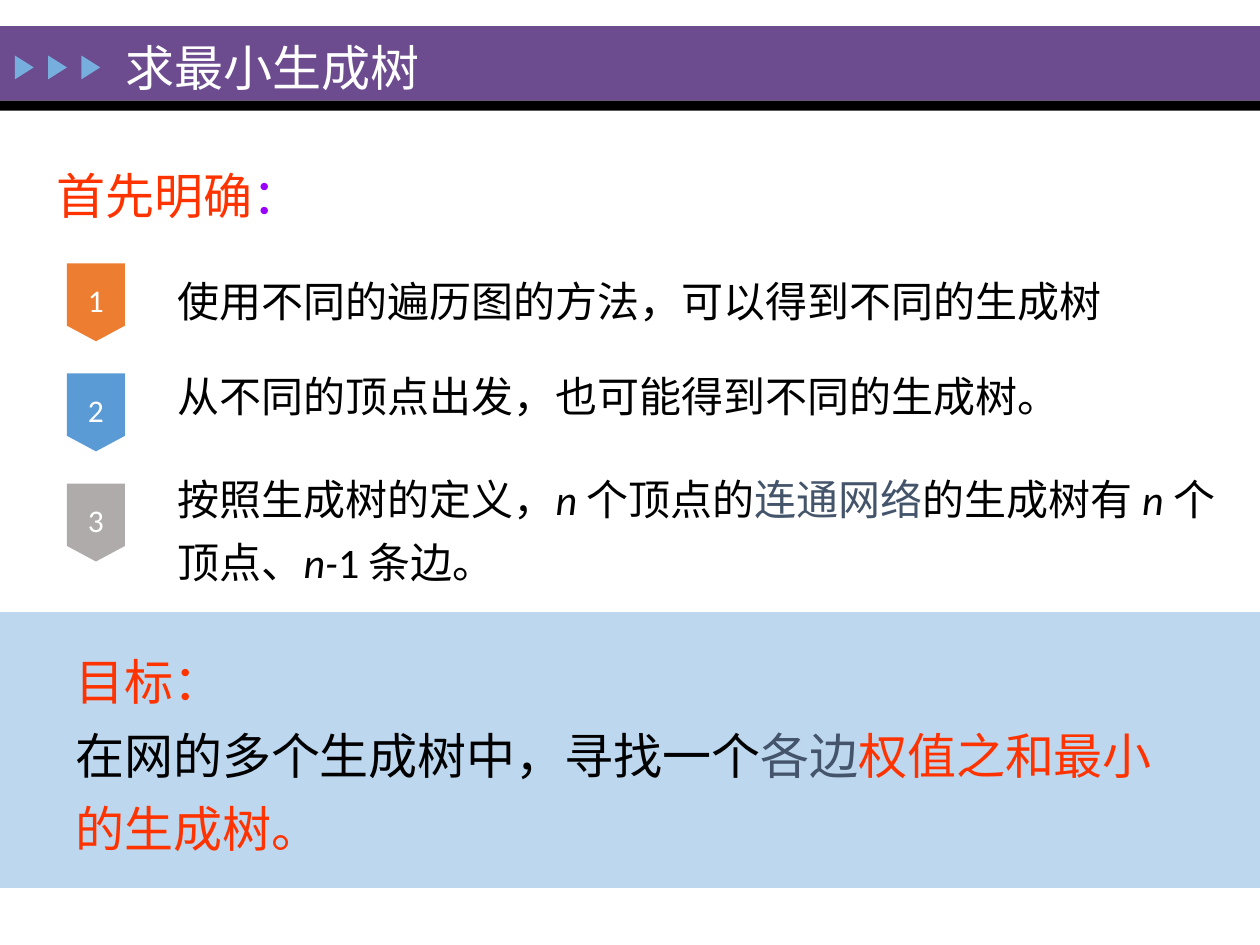
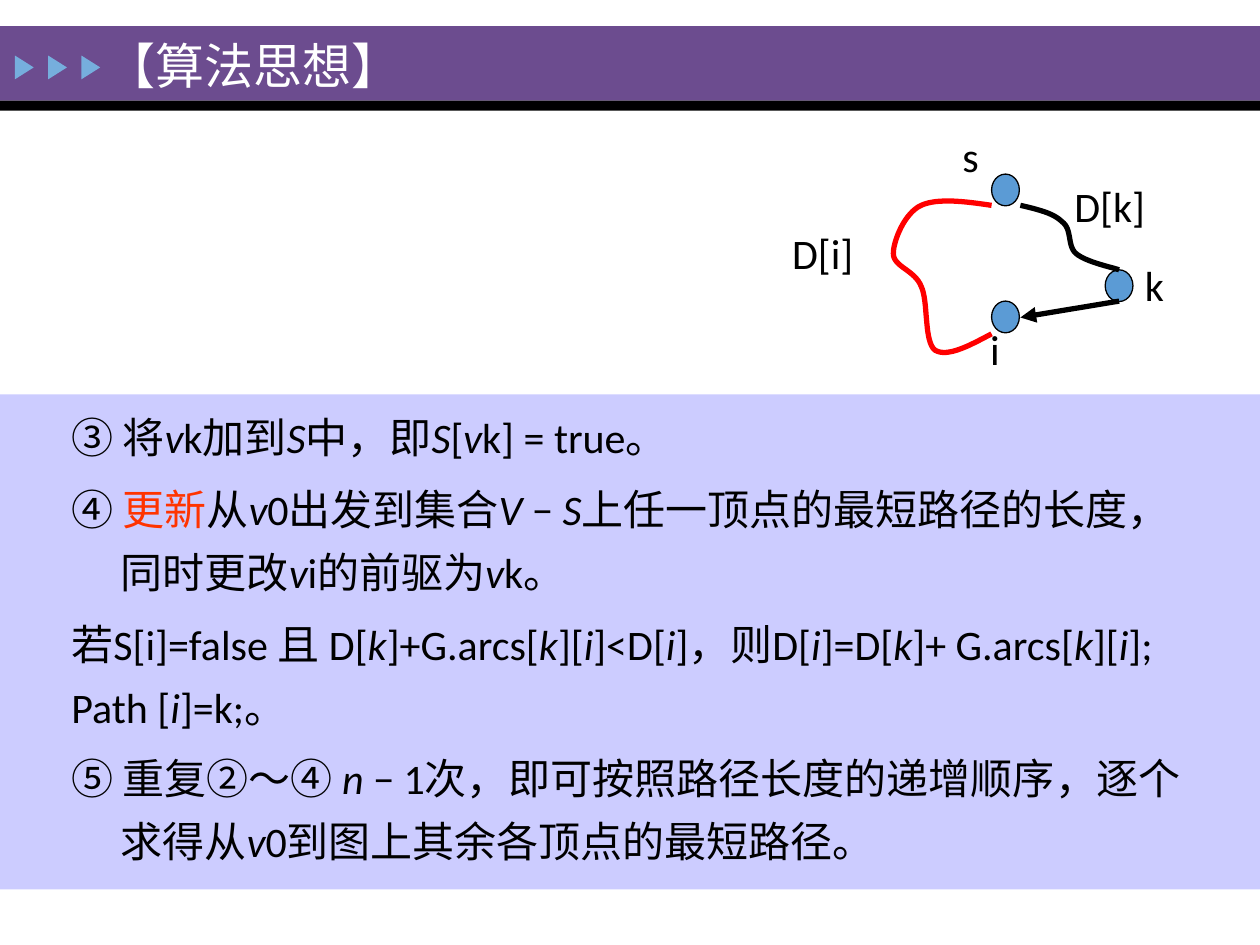
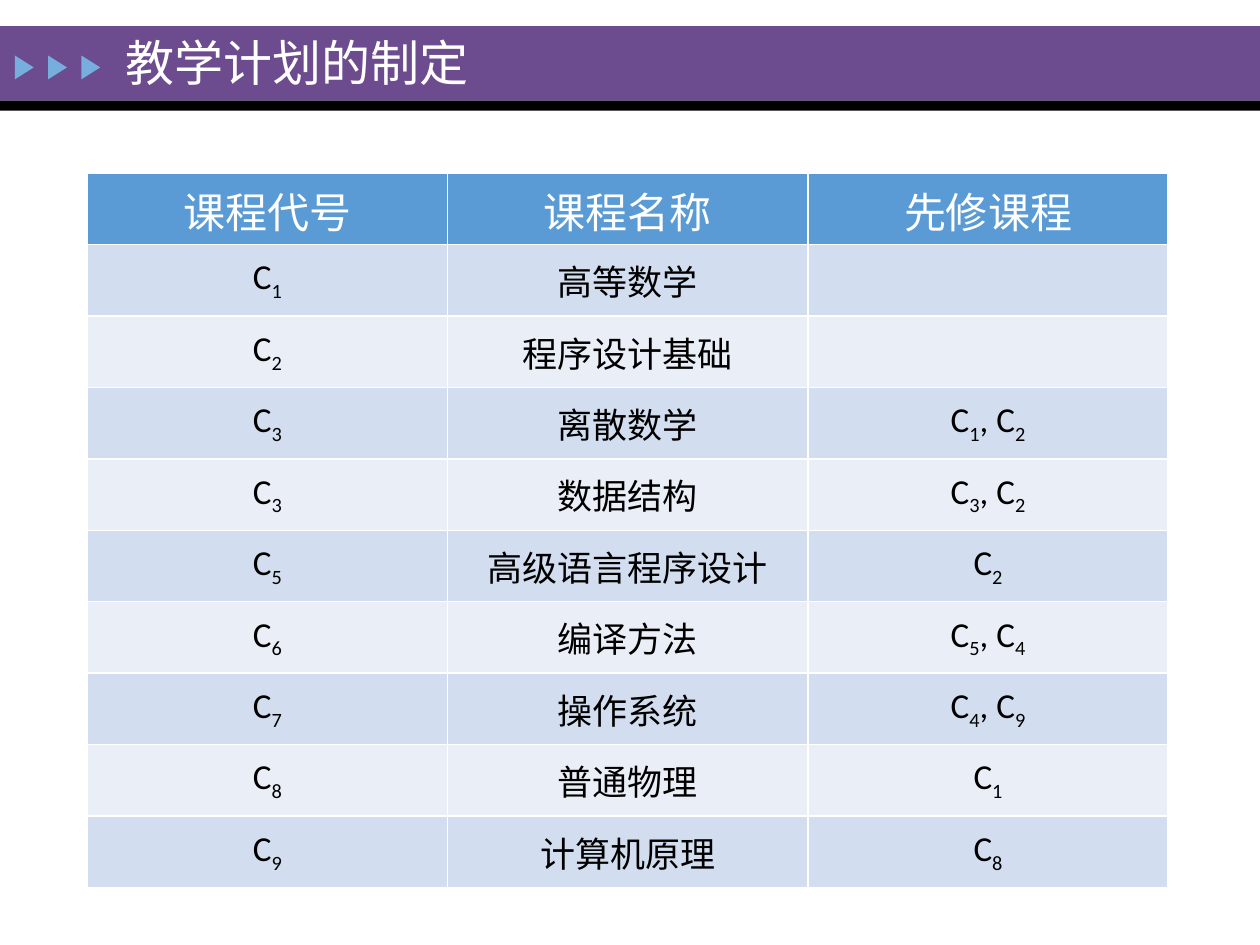
from lxml import etree
from pptx import Presentation
from pptx.dml.color import RGBColor
from pptx.enum.shapes import MSO_CONNECTOR, MSO_SHAPE
from pptx.enum.text import MSO_ANCHOR, PP_ALIGN
from pptx.oxml.ns import qn
from pptx.util import Cm, Pt

RECTANGLE = MSO_SHAPE.RECTANGLE
TRIANGLE = MSO_SHAPE.ISOSCELES_TRIANGLE
OVAL = MSO_SHAPE.OVAL
BADGE = MSO_SHAPE.FLOWCHART_OFFPAGE_CONNECTOR
STRAIGHT = MSO_CONNECTOR.STRAIGHT
MIDDLE = MSO_ANCHOR.MIDDLE
CENTER = PP_ALIGN.CENTER

FONT = "Calibri"
WHITE = RGBColor(0xFF, 0xFF, 0xFF)
BLACK = RGBColor(0x00, 0x00, 0x00)
PURPLE = RGBColor(0x6C, 0x4C, 0x8F)
MARKER_BLUE = RGBColor(0x76, 0xAE, 0xDD)
BLUE = RGBColor(0x5B, 0x9B, 0xD5)
ORANGE = RGBColor(0xED, 0x7D, 0x31)
GREY = RGBColor(0xAF, 0xAB, 0xAB)
GOAL_BLUE = RGBColor(0xBD, 0xD7, 0xEE)
LAVENDER = RGBColor(0xCC, 0xCC, 0xFF)
VERMILION = RGBColor(0xFF, 0x33, 0x00)
VIOLET = RGBColor(0x99, 0x00, 0xFF)
SLATE = RGBColor(0x44, 0x54, 0x6A)
RED = RGBColor(0xFF, 0x00, 0x00)
ROW_DARK = RGBColor(0xD2, 0xDE, 0xEF)
ROW_LIGHT = RGBColor(0xEA, 0xEF, 0xF7)

SLIDE_WIDTH, SLIDE_HEIGHT = 25.4, 19.05

COURSES = [
    ("C_1", "高等数学", ""),
    ("C_2", "程序设计基础", ""),
    ("C_3", "离散数学", "C_1, C_2"),
    ("C_3", "数据结构", "C_3, C_2"),
    ("C_5", "高级语言程序设计", "C_2"),
    ("C_6", "编译方法", "C_5, C_4"),
    ("C_7", "操作系统", "C_4, C_9"),
    ("C_8", "普通物理", "C_1"),
    ("C_9", "计算机原理", "C_8"),
]


def add_block(slide, kind, box, fill, outline=None):
    block = slide.shapes.add_shape(kind, *map(Cm, box))
    block.shadow.inherit = False
    block.fill.solid()
    block.fill.fore_color.rgb = fill
    if outline is None:
        block.line.fill.background()
    else:
        block.line.color.rgb = outline
        block.line.width = Pt(0.75)
    return block


def style_paragraph(paragraph, size, color=BLACK):
    paragraph.font.name = FONT
    paragraph.font.size = Pt(size)
    paragraph.font.color.rgb = color


def write_segments(paragraph, segments):
    """Add (text, colour) segments; asterisks enclose italic text."""
    for text, color in segments:
        for index, piece in enumerate(text.split("*")):
            if piece:
                run = paragraph.add_run()
                run.text = piece
                run.font.color.rgb = color
                run.font.italic = index % 2 == 1


def add_text(slide, box, paragraphs, size, line_spacing=None, gaps=None, hanging=()):
    """Add a text box; gaps are points before each paragraph, hanging their indices."""
    text_box = slide.shapes.add_textbox(*map(Cm, box))
    frame = text_box.text_frame
    frame.word_wrap = True
    for index, segments in enumerate(paragraphs):
        paragraph = frame.add_paragraph() if index else frame.paragraphs[0]
        style_paragraph(paragraph, size)
        paragraph.line_spacing = line_spacing
        if gaps:
            paragraph.space_before = Pt(gaps[index])
        if index in hanging:
            properties = paragraph.font._element.getparent()
            properties.set("marL", str(Cm(1)))
            properties.set("indent", str(-Cm(1)))
        write_segments(paragraph, segments)
    return frame


def add_header(slide, title, title_box):
    add_block(slide, RECTANGLE, (0, 0.53, SLIDE_WIDTH, 1.5), PURPLE)
    add_block(slide, RECTANGLE, (0, 2.03, SLIDE_WIDTH, 0.2), BLACK)
    for index in range(3):
        marker = add_block(slide, TRIANGLE, (0.25 + 0.67 * index, 1.17, 0.48, 0.38), MARKER_BLUE)
        marker.rotation = 90
    frame = add_text(slide, title_box, [[(title, WHITE)]], 28)
    frame.vertical_anchor = MIDDLE


def add_premises(slide, box):
    """Numbered badges on the left with their statements on the right."""
    left, top, width, height = box
    for index, color in enumerate((ORANGE, BLUE, GREY)):
        badge = add_block(slide, BADGE, (left, top + 0.13 + 2.22 * index, 1.17, 1.57), color)
        frame = badge.text_frame
        frame.vertical_anchor = MIDDLE
        frame.margin_left = frame.margin_right = frame.margin_bottom = 0
        frame.margin_top = Cm(0.2)
        number = frame.paragraphs[0]
        number.text = str(index + 1)
        number.alignment = CENTER
        style_paragraph(number, 18, WHITE)
    statements = [
        [("使用不同的遍历图的方法，可以得到不同的生成树", BLACK)],
        [("从不同的顶点出发，也可能得到不同的生成树。", BLACK)],
        [("按照生成树的定义，*n *个顶点的", BLACK), ("连通网络", SLATE),
         ("的生成树有 *n *个顶点、*n-*1 条边。", BLACK)],
    ]
    add_text(slide, (left + 1.98, top, width - 1.98, height), statements, 24, 1.25, (3, 18, 23))


def add_goal(slide, box):
    left, top, width, height = box
    add_block(slide, RECTANGLE, box, GOAL_BLUE)
    goal = [
        [("目标：", VERMILION)],
        [("在网的多个生成树中，寻找一个", BLACK), ("各边", SLATE),
         ("权值之和最小的生成树。", VERMILION)],
    ]
    add_text(slide, (left + 1.27, top + 0.38, width - 2.54, height - 0.8), goal, 28, 1.25)


def sample_curve(points, steps=16):
    """Return points along joined cubic Bézier segments."""
    sampled = [points[0]]
    for start in range(0, len(points) - 1, 3):
        segment = points[start:start + 4]
        for step in range(1, steps + 1):
            t = step / steps
            weights = ((1 - t) ** 3, 3 * t * (1 - t) ** 2, 3 * t * t * (1 - t), t ** 3)
            sampled.append(tuple(sum(w * p[axis] for w, p in zip(weights, segment))
                                 for axis in (0, 1)))
    return sampled


def add_path_diagram(slide, box):
    """Compare the direct route D[i] with the route through k."""
    left, top = box[:2]

    def locate(point):
        return Cm(left + point[0]), Cm(top + point[1])

    for x, y in ((4.27, 1), (4.27, 3.56), (6.56, 2.93)):
        add_block(slide, OVAL, (left + x, top + y, 0.56, 0.64), BLUE, BLACK)

    route_to_k = [(4.85, 1.63), (5.18, 1.71), (5.51, 1.78), (5.69, 1.96), (5.9, 2.11),
                  (5.79, 2.44), (5.97, 2.6), (6.17, 2.77), (6.66, 2.87), (6.84, 2.93)]
    route_to_i = [(4.27, 1.63), (3.74, 1.55), (3.18, 1.48), (2.85, 1.63), (2.52, 1.78),
                  (2.29, 2.34), (2.29, 2.6), (2.29, 2.87), (2.72, 2.93), (2.85, 3.26),
                  (3, 3.56), (2.9, 4.37), (3.13, 4.55), (3.38, 4.7), (3.84, 4.45), (4.27, 4.22)]
    for route, color in ((route_to_k, BLACK), (route_to_i, RED)):
        start, *rest = map(locate, sample_curve(route))
        builder = slide.shapes.build_freeform(*start)
        builder.add_line_segments(rest, close=False)
        curve = builder.convert_to_shape()
        curve.shadow.inherit = False
        curve.fill.background()
        curve.line.color.rgb = color
        curve.line.width = Pt(3)

    edge = slide.shapes.add_connector(STRAIGHT, *locate((6.84, 3.56)), *locate((4.85, 3.89)))
    edge.line.color.rgb = BLACK
    edge.line.width = Pt(3)
    etree.SubElement(edge.line._get_or_add_ln(), qn("a:tailEnd"), type="triangle")
    etree.SubElement(edge._element.spPr, qn("a:effectLst"))

    for label, x, y, width in (("s", 3.43, 0, 0.86), ("i", 3.99, 3.89, 0.86),
                               ("k", 7.11, 2.59, 1.14), ("D[i]", 0, 1.96, 3.12),
                               ("D[k]", 5.69, 1, 3.4)):
        add_text(slide, (left + x, top + y, width, 1.27), [[(label, BLACK)]], 24)


def add_steps(slide, box):
    left, top, width, height = box
    add_block(slide, RECTANGLE, box, LAVENDER)
    steps = [
        [("③ 将*v*k加到*S*中，即*S*[*v*k] = true。", BLACK)],
        [("④ ", BLACK), ("更新", VERMILION),
         ("从*v*0出发到集合*V *−* S*上任一顶点的最短路径的长度，"
          "同时更改*v*i的前驱为*v*k。", BLACK)],
        [("若S[i]=false 且 D[*k*]+G.arcs[*k*][*i*]<D[*i*]，则D[*i*]=D[*k*]+ "
          "G.arcs[*k*][*i*]; Path [*i*]=k;。", BLACK)],
        [("⑤ 重复②～④ *n *− 1次，即可按照路径长度的递增顺序，逐个求得从"
          "*v*0到图上其余各顶点的最短路径。", BLACK)],
    ]
    add_text(slide, (left + 1.19, top - 0.03, width - 1.95, height - 0.1), steps, 24, 1.25,
             (5, 5, 5, 5), hanging=(0, 1, 3))


def write_cell(cell, text, size, color, fill):
    """Write centred text; the character after an underscore is a subscript."""
    cell.fill.solid()
    cell.fill.fore_color.rgb = fill
    cell.vertical_anchor = MIDDLE
    paragraph = cell.text_frame.paragraphs[0]
    paragraph.alignment = CENTER
    style_paragraph(paragraph, size, color)
    paragraph.font.bold = False
    plain, *subscripted = text.split("_")
    if plain:
        paragraph.add_run().text = plain
    for piece in subscripted:
        subscript = paragraph.add_run()
        subscript.text = piece[0]
        subscript.font._element.set("baseline", "-25000")
        if piece[1:]:
            paragraph.add_run().text = piece[1:]


def add_course_table(slide, box):
    headings = ("课程代号", "课程名称", "先修课程")
    table = slide.shapes.add_table(len(COURSES) + 1, len(headings), *map(Cm, box)).table
    for row, texts in enumerate([headings] + COURSES):
        if row == 0:
            size, color, fill = 24, WHITE, BLUE
        else:
            size, color, fill = 20, BLACK, ROW_DARK if row % 2 else ROW_LIGHT
        for column, text in enumerate(texts):
            write_cell(table.cell(row, column), text, size, color, fill)


def main():
    presentation = Presentation()
    presentation.slide_width = Cm(SLIDE_WIDTH)
    presentation.slide_height = Cm(SLIDE_HEIGHT)
    blank = presentation.slide_layouts[6]

    spanning_tree = presentation.slides.add_slide(blank)
    add_header(spanning_tree, "求最小生成树", (2.29, 0.64, 14.2, 1.42))
    add_text(spanning_tree, (0.89, 2.92, 24.05, 1.63),
             [[("首先明确", VERMILION), ("：", VIOLET)]], 28, 1.25, (3,))
    add_premises(spanning_tree, (1.35, 5.18, 23.44, 6.96))
    add_goal(spanning_tree, (0, 12.34, SLIDE_WIDTH, 5.56))

    shortest_path = presentation.slides.add_slide(blank)
    add_header(shortest_path, "【算法思想】", (1.9, 0.46, 10.5, 1.68))
    add_steps(shortest_path, (0, 7.95, SLIDE_WIDTH, 9.98))
    add_path_diagram(shortest_path, (15.72, 2.51, 9.09, 5.16))

    teaching_plan = presentation.slides.add_slide(blank)
    add_header(teaching_plan, "教学计划的制定", (2.29, 0.58, 9.2, 1.32))
    add_course_table(teaching_plan, (1.76, 3.49, 21.79, 14.4))

    presentation.save("out.pptx")


if __name__ == "__main__":
    main()
